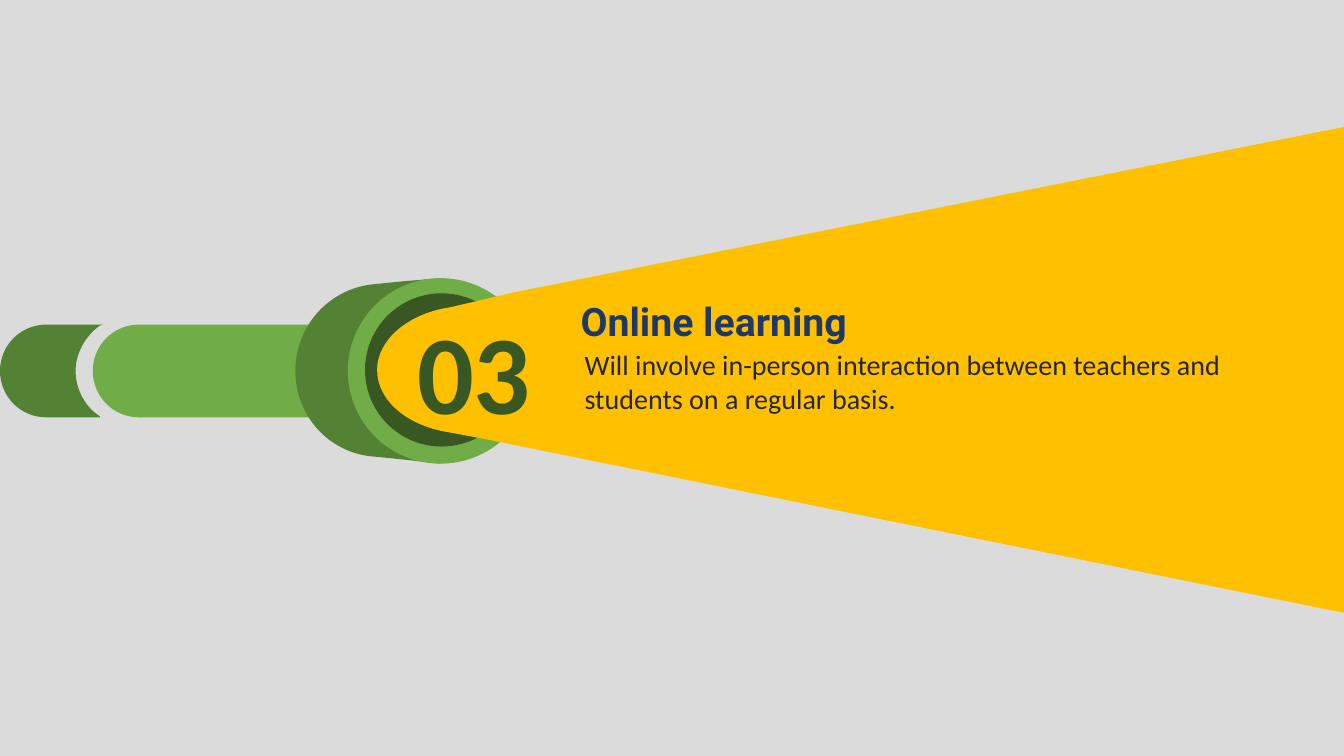
from dataclasses import dataclass

from lxml.etree import SubElement as Child
from pptx import Presentation
from pptx.dml.color import RGBColor as Rgb
from pptx.enum.shapes import MSO_SHAPE as Kind
from pptx.enum.text import MSO_ANCHOR as Anchor, MSO_AUTO_SIZE as Fit
from pptx.oxml.ns import qn
from pptx.shapes.autoshape import Shape
from pptx.shapes.shapetree import SlideShapes as Shapes
from pptx.util import Inches, Pt

COLS, ROWS = 1333, 750
CELL = Inches(0.01)

GREY = Rgb(0xDB, 0xDB, 0xDB)
LIGHT = Rgb(0x70, 0xAD, 0x47)
MID = Rgb(0x54, 0x82, 0x35)
DARK = Rgb(0x38, 0x57, 0x23)
GOLD = Rgb(0xFF, 0xC0, 0x00)
NAVY = Rgb(0x20, 0x38, 0x64)
INK = Rgb(0x26, 0x26, 0x26)

Move = tuple[float, ...]


@dataclass(frozen=True)
class Outline:
    color: Rgb
    start: Move
    moves: tuple[Move, ...]


@dataclass(frozen=True)
class Disc:
    color: Rgb
    left: float
    top: float
    side: float


@dataclass(frozen=True)
class Label:
    text: str
    left: float
    top: float
    width: float
    height: float
    font: str
    size: int
    color: Rgb
    bold: bool = False
    wrap: bool = True
    inset: float = 10
    anchor: Anchor = Anchor.TOP


HANDLE = Outline(LIGHT, (138, 322), (
    (112, 322, 92, 343, 92, 368), (92, 393, 112, 414, 138, 414),
    (394, 414), (394, 322), (138, 322)))
HEAD = Outline(MID, (401, 456), (
    (391, 455, 381, 454, 371, 453), (327, 450, 293, 413, 293, 368),
    (293, 323, 327, 286, 371, 282), (381, 281, 391, 280, 401, 279),
    (437, 276), (437, 460), (401, 456)))
RIM = Disc(LIGHT, 345, 276, 184)
TAIL = Outline(MID, (46, 322), (
    (102, 322), (99, 323), (85, 333, 75, 350, 75, 368),
    (75, 387, 85, 404, 99, 413), (99, 414), (46, 414),
    (20, 414, 0, 393, 0, 368), (0, 343, 20, 322, 46, 322)))
LENS = Disc(DARK, 362, 291, 152)
BEAM = Outline(GOLD, (1333, 126), (
    (1333, 367), (1333, 608), (483, 436), (446, 429),
    (405, 423, 374, 398, 374, 367), (374, 337, 405, 311, 446, 305),
    (510, 290), (1333, 126)))

PARTS = (HANDLE, HEAD, RIM, TAIL, LENS, BEAM)
LABELS = (
    Label("Will involve in-person interaction between teachers and students "
          "on a regular basis.", 570, 340, 667, 77, "Calibri", 20, INK),
    Label("03", 404, 295, 134, 145, "Calibri", 80, DARK, bold=True, wrap=False),
    Label("Online learning", 576, 289.5, 320, 57, "Roboto", 28, NAVY, bold=True,
          inset=0, anchor=Anchor.BOTTOM),
)


def cells(count: float) -> int:
    return round(count * CELL)


def paint(shape: Shape, color: Rgb) -> None:
    shape.shadow.inherit = False
    shape.fill.solid()
    shape.fill.fore_color.rgb = color
    shape.line.fill.background()


def bend(shape: Shape, moves: tuple[Move, ...]) -> None:
    lines = list(shape._element.iter(qn("a:lnTo")))
    for line, move in zip(lines, moves):
        if len(move) == 6:
            line.tag = qn("a:cubicBezTo")
            line.clear()
            for x, y in zip(move[::2], move[1::2]):
                Child(line, qn("a:pt"), x=str(cells(x) - shape.left),
                      y=str(cells(y) - shape.top))


def draw_outline(shapes: Shapes, part: Outline) -> None:
    pen = shapes.build_freeform(*map(cells, part.start))
    ends = [(cells(move[-2]), cells(move[-1])) for move in part.moves]
    pen.add_line_segments(ends, close=True)
    shape = pen.convert_to_shape()
    bend(shape, part.moves)
    paint(shape, part.color)


def draw_disc(shapes: Shapes, part: Disc) -> None:
    side = cells(part.side)
    disc = shapes.add_shape(Kind.OVAL, cells(part.left), cells(part.top),
                            side, side)
    paint(disc, part.color)


def draw_label(shapes: Shapes, label: Label) -> None:
    box = shapes.add_textbox(cells(label.left), cells(label.top),
                             cells(label.width), cells(label.height))
    frame = box.text_frame
    frame.word_wrap = label.wrap
    frame.auto_size = Fit.SHAPE_TO_FIT_TEXT
    frame.vertical_anchor = label.anchor
    frame.margin_left = frame.margin_right = cells(label.inset)
    frame.margin_top = frame.margin_bottom = cells(5)
    run = frame.paragraphs[0].add_run()
    run.text = label.text
    run.font.name = label.font
    run.font.size = Pt(label.size)
    run.font.bold = label.bold
    run.font.color.rgb = label.color


def main() -> None:
    deck = Presentation()
    deck.slide_width, deck.slide_height = cells(COLS), cells(ROWS)
    slide = deck.slides.add_slide(deck.slide_layouts[6])
    slide.background.fill.solid()
    slide.background.fill.fore_color.rgb = GREY
    for part in PARTS:
        if isinstance(part, Disc):
            draw_disc(slide.shapes, part)
        else:
            draw_outline(slide.shapes, part)
    for label in LABELS:
        draw_label(slide.shapes, label)
    deck.save("out.pptx")


if __name__ == "__main__":
    main()
